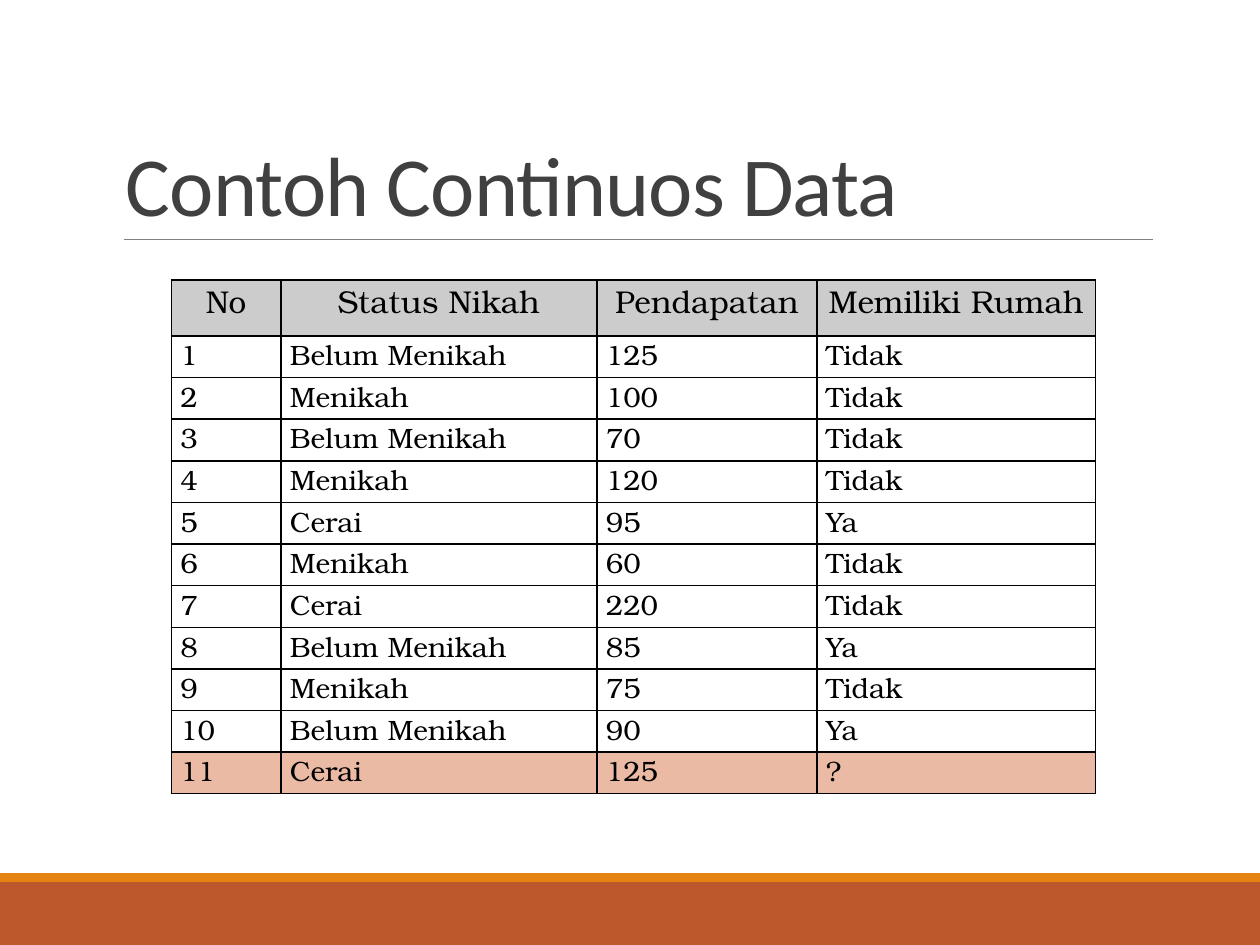
import pptx
import pptx.util
import pptx.dml.color
import pptx.enum.shapes
import pptx.enum.text
import pptx.oxml
import pptx.oxml.ns

Pt = pptx.util.Pt
COLORS = {
    "band": "BD582C",
    "stripe": "E48312",
    "rule": "808080",
    "title": "404040",
    "text": "000000",
    "header": "CCCCCC",
    "highlight": "EABAA5",
}
HEADINGS = ("No", "Status Nikah", "Pendapatan", "Memiliki Rumah")
RECORDS = [
    ("Belum Menikah", "125", "Tidak"),
    ("Menikah", "100", "Tidak"),
    ("Belum Menikah", "70", "Tidak"),
    ("Menikah", "120", "Tidak"),
    ("Cerai", "95", "Ya"),
    ("Menikah", "60", "Tidak"),
    ("Cerai", "220", "Tidak"),
    ("Belum Menikah", "85", "Ya"),
    ("Menikah", "75", "Tidak"),
    ("Belum Menikah", "90", "Ya"),
    ("Cerai", "125", "?"),
]
COLUMN_WIDTHS = (62.6, 180.6, 125.8, 159)
HEADER_HEIGHT = 32


def rgb(name):
    return pptx.dml.color.RGBColor.from_string(COLORS[name])


def style_font(paragraph, face, size, color):
    paragraph.font.name = face
    paragraph.font.size = Pt(size)
    paragraph.font.color.rgb = rgb(color)


def add_footer(slide, left, top, width, height):
    stripe_height = 5
    for color, y, h in (
        ("band", top + stripe_height, height - stripe_height),
        ("stripe", top, stripe_height),
    ):
        bar = slide.shapes.add_shape(
            pptx.enum.shapes.MSO_SHAPE.RECTANGLE, Pt(left), Pt(y), Pt(width), Pt(h)
        )
        bar.shadow.inherit = False
        bar.fill.solid()
        bar.fill.fore_color.rgb = rgb(color)
        bar.line.fill.background()


def add_title(slide, left, top, width, height):
    bottom = top + height
    rule = slide.shapes.add_connector(
        pptx.enum.shapes.MSO_CONNECTOR.STRAIGHT,
        Pt(left + 5.8), Pt(bottom), Pt(left + width), Pt(bottom),
    )
    rule.line.color.rgb = rgb("rule")
    rule.line.width = Pt(0.5)
    rule._element.spPr.append(pptx.oxml.parse_xml(
        f"<a:effectLst {pptx.oxml.ns.nsdecls('a')}/>"
    ))

    title = slide.shapes.add_textbox(Pt(left), Pt(top), Pt(width), Pt(height))
    frame = title.text_frame
    frame.word_wrap = True
    frame.vertical_anchor = pptx.enum.text.MSO_ANCHOR.BOTTOM
    paragraph = frame.paragraphs[0]
    run = paragraph.add_run()
    run.text = "Contoh Continuos Data"
    paragraph.line_spacing = 0.85
    style_font(paragraph, "Calibri", 48, "title")
    run.font._element.set("spc", "-50")


def add_borders(cell):
    properties = cell._tc.get_or_add_tcPr()
    for side in ("lnL", "lnR", "lnT", "lnB"):
        properties.append(pptx.oxml.parse_xml(
            f'<a:{side} {pptx.oxml.ns.nsdecls("a")} w="{Pt(1)}"><a:solidFill>'
            f'<a:srgbClr val="{COLORS["text"]}"/></a:solidFill></a:{side}>'
        ))


def fill_cell(cell, text, size, fill, alignment):
    add_borders(cell)
    if fill:
        cell.fill.solid()
        cell.fill.fore_color.rgb = rgb(fill)
    else:
        cell.fill.background()
    cell.margin_left = cell.margin_right = Pt(5.2)
    cell.margin_top = cell.margin_bottom = Pt(0)
    cell.text = text
    paragraph = cell.text_frame.paragraphs[0]
    paragraph.alignment = alignment
    style_font(paragraph, "TeX Gyre Bonum", size, "text")


def add_records(slide, left, top, width, height):
    rows = [HEADINGS] + [(str(n), *record) for n, record in enumerate(RECORDS, 1)]
    table = slide.shapes.add_table(
        len(rows), len(HEADINGS), Pt(left), Pt(top), Pt(width), Pt(height)
    ).table
    table.first_row = False
    table.horz_banding = False
    for column, share in zip(table.columns, COLUMN_WIDTHS):
        column.width = Pt(width * share / sum(COLUMN_WIDTHS))
    row_height = (height - HEADER_HEIGHT) / len(RECORDS)
    align = pptx.enum.text.PP_ALIGN
    for r, values in enumerate(rows):
        table.rows[r].height = Pt(row_height if r else HEADER_HEIGHT)
        fill = {0: "header", len(RECORDS): "highlight"}.get(r)
        for c, value in enumerate(values):
            fill_cell(
                table.cell(r, c), value, 16 if r else 18, fill,
                align.LEFT if r else align.CENTER,
            )


def main():
    presentation = pptx.Presentation()
    presentation.slide_width = Pt(720)
    presentation.slide_height = Pt(540)
    slide = presentation.slides.add_slide(presentation.slide_layouts[6])
    add_footer(slide, 0, 499, 720, 41)
    add_title(slide, 64.8, 22.3, 594, 114.5)
    add_records(slide, 97.9, 160, 528, 293.8)
    presentation.save("out.pptx")


if __name__ == "__main__":
    main()
